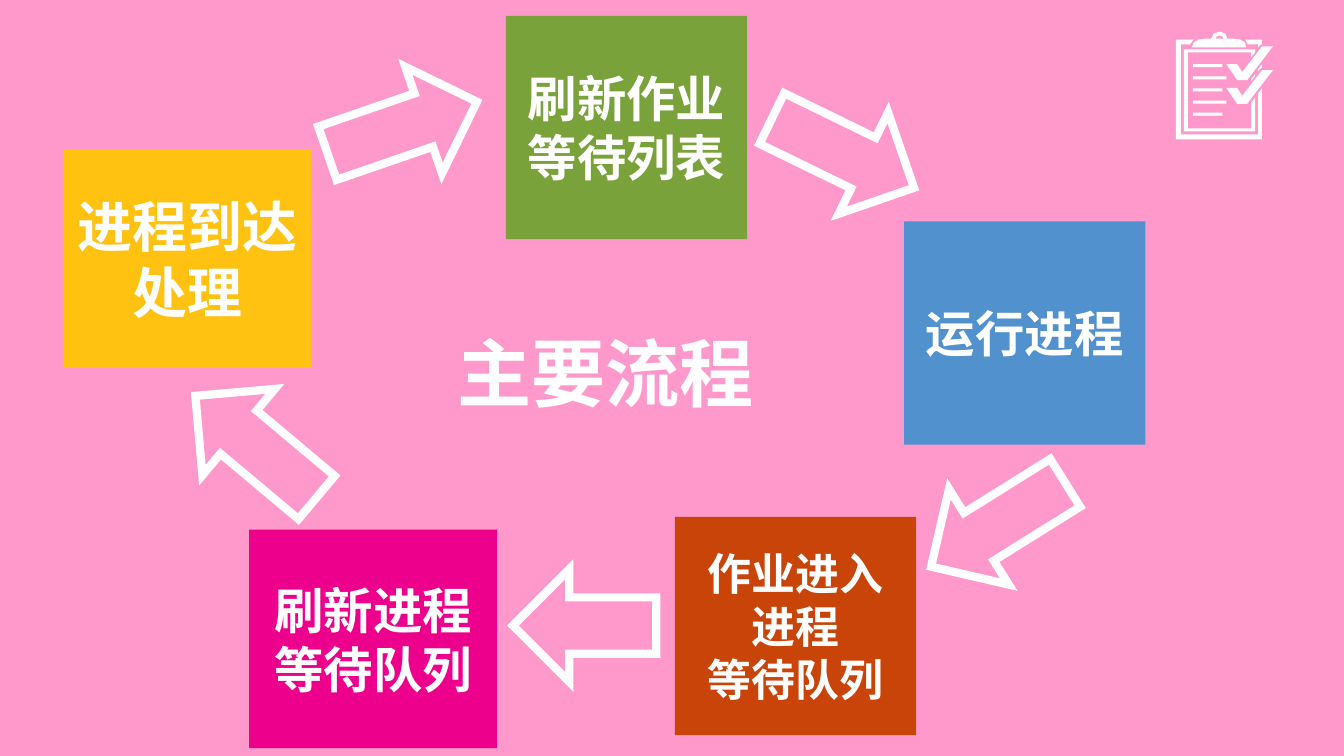
from lxml import etree
from pptx import Presentation
from pptx.dml.color import RGBColor
from pptx.enum.shapes import MSO_SHAPE as Preset
from pptx.enum.text import MSO_ANCHOR as Anchor, PP_ALIGN as Align
from pptx.oxml.ns import qn
from pptx.util import Inches, Pt

COLORS = {
    "background": "FF99CC",
    "white": "FFFFFF",
    "yellow": "FFC211",
    "green": "7AA23A",
    "blue": "5191CD",
    "orange": "C94409",
    "magenta": "EC008C",
}
CHINESE_FONT = "Noto Sans CJK SC"

STEPS = [
    ((0.64, 1.51, 2.51, 2.21), "yellow", ["进程到达处理"], 40),
    ((5.12, 0.16, 2.44, 2.26), "green", ["刷新作业", "等待列表"], 36),
    ((9.15, 2.24, 2.44, 2.26), "blue", ["运行进程"], 36),
    ((6.83, 5.23, 2.44, 2.21), "orange", ["作业进入", "进程", "等待队列"], 32),
    ((2.52, 5.36, 2.51, 2.21), "magenta", ["刷新进程", "等待队列"], 36),
]
ARROWS = [
    ((3.27, 0.72, 1.6, 1.14), 341),
    ((7.73, 0.98, 1.6, 1.14), 26),
    ((9.3, 4.74, 1.6, 1.14), 148),
    ((5.19, 5.76, 1.45, 1.14), 180),
    ((1.79, 3.95, 1.6, 1.14), 220),
]


def color(name):
    return RGBColor.from_string(COLORS[name])


def inches(box):
    return [Inches(length) for length in box]


def write_lines(shape, lines, size, font, align):
    frame = shape.text_frame
    frame.word_wrap = True
    frame.vertical_anchor = Anchor.MIDDLE
    for index, line in enumerate(lines):
        paragraph = frame.paragraphs[0] if index == 0 else frame.add_paragraph()
        paragraph.alignment = align
        run = paragraph.add_run()
        run.text = line
        for name, value in {"size": Pt(size), "bold": True, "name": font}.items():
            setattr(run.font, name, value)
        run.font.color.rgb = color("white")
        east_asian = etree.SubElement(run.font._element, qn("a:ea"))
        east_asian.set("typeface", CHINESE_FONT)


def add_title(slide, box):
    title = slide.shapes.add_textbox(*inches(box))
    write_lines(title, ["主要流程"], 54, "DejaVu Sans", Align.LEFT)
    margins = {"margin_left": 0.16, "margin_right": 0.16, "margin_top": 0.1, "margin_bottom": 0.1}
    for name, value in margins.items():
        setattr(title.text_frame, name, Inches(value))
    title.text_frame.paragraphs[0].line_spacing = 0.9


def add_step(slide, box, fill, lines, size):
    tile = slide.shapes.add_shape(Preset.RECTANGLE, *inches(box))
    tile.shadow.inherit = False
    tile.fill.solid()
    tile.fill.fore_color.rgb = color(fill)
    tile.line.fill.background()
    write_lines(tile, lines, size, CHINESE_FONT, Align.CENTER)


def add_arrow(slide, box, rotation):
    arrow = slide.shapes.add_shape(Preset.RIGHT_ARROW, *inches(box))
    arrow.rotation = rotation
    arrow.shadow.inherit = False
    arrow.fill.background()
    arrow.line.color.rgb = color("white")
    arrow.line.width = Pt(6)
    miter = etree.SubElement(arrow.line._get_or_add_ln(), qn("a:miter"))
    miter.set("lim", "800000")


def rectangle(left, top, right, bottom):
    return [(left, top), (right, top), (right, bottom), (left, bottom)]


def clipboard_contours():
    board = [(0.18, 0.08), (0, 0.08), (0, 1.09), (0.87, 1.09), (0.87, 0.57),
             (0.83, 0.63), (0.83, 1.04), (0.05, 1.04), (0.05, 0.13), (0.14, 0.13)]
    board_corner = [(0.86, 0.13), (0.87, 0.13), (0.87, 0.08), (0.7, 0.08),
                    (0.73, 0.13), (0.83, 0.13), (0.83, 0.16)]
    paper = [(0.76, 0.98), (0.12, 0.98), (0.12, 0.21), (0.76, 0.21), (0.76, 0.26),
             (0.8, 0.21), (0.8, 0.18), (0.08, 0.18), (0.08, 1.01), (0.8, 1.01),
             (0.8, 0.67), (0.76, 0.72)]
    board_gap = [(0.83, 0.4), (0.86, 0.37), (0.87, 0.37), (0.87, 0.33), (0.83, 0.38)]
    paper_gap = [(0.8, 0.43), (0.76, 0.48), (0.76, 0.5), (0.8, 0.45)]
    clip = [(0.16, 0.16), (0.18, 0.11), (0.23, 0.08), (0.31, 0.07), (0.36, 0.07),
            (0.38, 0.02), (0.44, 0), (0.5, 0.02), (0.52, 0.07), (0.57, 0.07),
            (0.65, 0.08), (0.7, 0.11), (0.71, 0.16)]
    clip_hole = [(0.4, 0.07), (0.41, 0.05), (0.44, 0.04), (0.47, 0.05), (0.48, 0.07)]
    check = [(0.98, 0.15), (0.72, 0.49), (0.62, 0.49), (0.51, 0.33),
             (0.62, 0.33), (0.67, 0.41), (0.87, 0.15)]
    checks = [[(x, y + drop) for x, y in check] for drop in (0, 0.24)]
    tops = [0.33 + 0.1225 * row for row in range(5)]
    text_lines = [rectangle(0.17, top, 0.51 if row % 2 else 0.47, top + 0.03)
                  for row, top in enumerate(tops)]
    return [board, board_corner, paper, board_gap, paper_gap, clip, clip_hole,
            *checks, *text_lines]


def add_clipboard(slide, left, top):
    contours = [[(Inches(left + x), Inches(top + y)) for x, y in contour]
                for contour in clipboard_contours()]
    builder = slide.shapes.build_freeform(*contours[0][0])
    for contour in contours:
        builder.move_to(*contour[0])
        builder.add_line_segments(contour[1:], close=True)
    clipboard = builder.convert_to_shape()
    clipboard.shadow.inherit = False
    clipboard.fill.solid()
    clipboard.fill.fore_color.rgb = color("white")
    clipboard.line.fill.background()


def add_process_slide(presentation):
    slide = presentation.slides.add_slide(presentation.slide_layouts[6])
    slide.background.fill.solid()
    slide.background.fill.fore_color.rgb = color("background")
    add_title(slide, (4.47, 3.41, 12.43, 0.83))
    for step in STEPS:
        add_step(slide, *step)
    for arrow in ARROWS:
        add_arrow(slide, *arrow)
    add_clipboard(slide, 11.9, 0.32)


def main():
    presentation = Presentation()
    presentation.slide_width = Inches(13.6)
    presentation.slide_height = Inches(7.65)
    add_process_slide(presentation)
    presentation.save("out.pptx")


if __name__ == "__main__":
    main()
